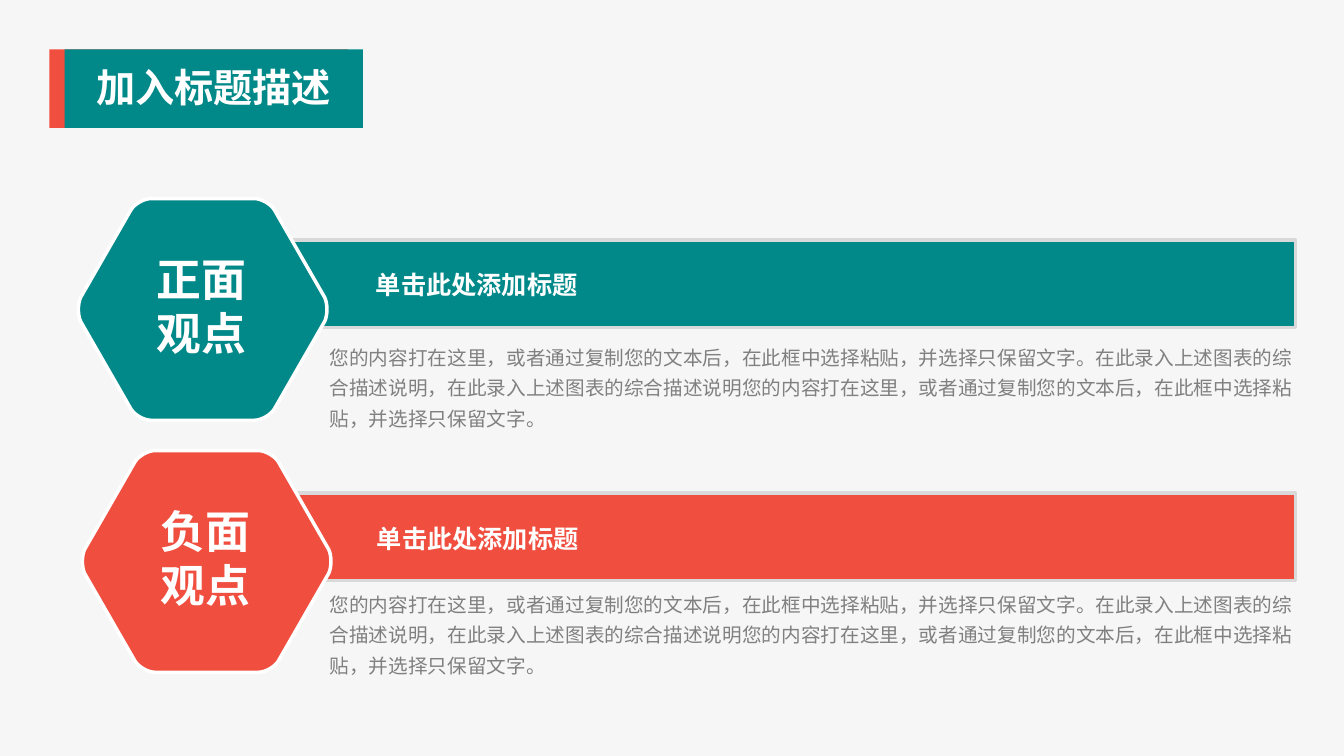
from pptx import Presentation
from pptx.dml.color import RGBColor
from pptx.enum.shapes import MSO_SHAPE
from pptx.enum.text import MSO_AUTO_SIZE, PP_ALIGN
from pptx.oxml.ns import qn
from pptx.util import Inches, Pt
from lxml import etree

RECTANGLE = MSO_SHAPE.RECTANGLE
ROUNDED = MSO_SHAPE.ROUNDED_RECTANGLE
LEFT, CENTER = PP_ALIGN.LEFT, PP_ALIGN.CENTER
GROW = MSO_AUTO_SIZE.SHAPE_TO_FIT_TEXT

COLORS = {"background": "F6F6F6", "teal": "018989", "red": "F04E3F",
          "white": "FFFFFF", "edge": "D9D9D9", "gray": "808080"}
CJK_FONT = "Noto Sans CJK SC"
LABEL_FONT = "TeX Gyre Adventor"
NARROW = (0.07, 0.04)
WIDE = (0.1, 0.05)

CAPTION = "单击此处添加标题"
BODY = ("您的内容打在这里，或者通过复制您的文本后，在此框中选择粘贴，并选择只保留文字。"
        "在此录入上述图表的综合描述说明，在此录入上述图表的综合描述说明"
        "您的内容打在这里，或者通过复制您的文本后，在此框中选择粘贴，并选择只保留文字。")

# Rounded corners as Bézier control points, measured from the hexagon's centre.
TOP_CORNER = [(0.51, -1.1), (0.58, -1.1), (0.67, -1.05), (0.71, -0.99)]
SIDE_CORNER = [(1.21, -0.12), (1.24, -0.06), (1.24, 0.06), (1.21, 0.12)]

VIEWPOINTS = [
    {"color": "teal", "label": ["正面", "观点"], "center": (2.01, 3.07),
     "bar_top": 2.38, "caption": (3.63, 2.62, 7.75, 0.4), "body_top": 3.32},
    {"color": "red", "label": ["负面", "观点"], "center": (2.05, 5.57),
     "bar_top": 4.89, "caption": (3.64, 5.14, 5.56, 0.4), "body_top": 5.77},
]


def rgb(name):
    return RGBColor.from_string(COLORS[name])


def paint(shape, fill, line=None):
    shape.shadow.inherit = False
    shape.fill.solid()
    shape.fill.fore_color.rgb = rgb(fill)
    if line:
        shape.line.color.rgb = rgb(line)
        shape.line.width = Pt(2.5)
    else:
        shape.line.fill.background()


def add_block(shapes, kind, place, fill, line=None):
    block = shapes.add_shape(kind, *map(Inches, place))
    if kind == ROUNDED:
        block.adjustments[0] = 0
    paint(block, fill, line)


def add_text(shapes, place, lines, size, color="white", bold=True, align=LEFT,
             font=CJK_FONT, insets=NARROW, spacing=None):
    frame = shapes.add_textbox(*map(Inches, place)).text_frame
    frame.word_wrap = True
    frame.auto_size = GROW
    frame.margin_left = frame.margin_right = Inches(insets[0])
    frame.margin_top = frame.margin_bottom = Inches(insets[1])
    for index, line in enumerate(lines):
        para = frame.add_paragraph() if index else frame.paragraphs[0]
        para.alignment = align
        if spacing:
            para.line_spacing = spacing
        span = para.add_run()
        span.text = line
        span.font.size = Pt(size)
        span.font.bold = bold
        span.font.color.rgb = rgb(color)
        span.font.name = font
        east_asian = etree.SubElement(span.font._element, qn("a:ea"))
        east_asian.set("typeface", CJK_FONT)


def round_corners(shape):
    """Turn the three segments that follow each corner's first point into a curve."""
    segments = list(shape._element.iter(qn("a:lnTo")))
    for start in range(0, len(segments), 4):
        corner = segments[start:start + 3]
        curve = etree.Element(qn("a:cubicBezTo"))
        corner[0].addprevious(curve)
        for segment in corner:
            curve.append(segment[0])
            segment.getparent().remove(segment)


def add_hexagon(shapes, center, fill):
    bottom_corner = [(x, -y) for x, y in reversed(TOP_CORNER)]
    right_half = TOP_CORNER + SIDE_CORNER + bottom_corner
    outline = right_half + [(-x, -y) for x, y in right_half]
    points = [(Inches(center[0] + x), Inches(center[1] + y)) for x, y in outline]
    builder = shapes.build_freeform(*points[0])
    builder.add_line_segments(points[1:], close=True)
    hexagon = builder.convert_to_shape()
    round_corners(hexagon)
    paint(hexagon, fill, "white")


def add_title(shapes):
    for left, color in ((0.49, "red"), (0.64, "teal")):
        add_block(shapes, RECTANGLE, (left, 0.49, 2.96, 0.78), color)
    add_text(shapes, (0.47, 0.59, 3.3, 0.55), ["加入标题描述"], 28, align=CENTER)


def add_viewpoint(shapes, view):
    x, y = view["center"]
    add_block(shapes, ROUNDED, (2.3, view["bar_top"], 10.55, 0.87),
              view["color"], "edge")
    add_text(shapes, view["caption"], [CAPTION], 18, insets=WIDE)
    add_text(shapes, (3.2, view["body_top"], 9.75, 0.99), [BODY], 14,
             color="gray", bold=False, spacing=1.3)
    add_hexagon(shapes, view["center"], view["color"])
    add_text(shapes, (x - 0.88, y - 0.61, 1.74, 1.15), view["label"], 32,
             align=CENTER, font=LABEL_FONT)


def main():
    deck = Presentation()
    deck.slide_width, deck.slide_height = Inches(13.33), Inches(7.5)
    page = deck.slides.add_slide(deck.slide_layouts[6])
    page.background.fill.solid()
    page.background.fill.fore_color.rgb = rgb("background")
    add_title(page.shapes)
    for view in VIEWPOINTS:
        add_viewpoint(page.shapes, view)
    deck.save("out.pptx")


if __name__ == "__main__":
    main()
